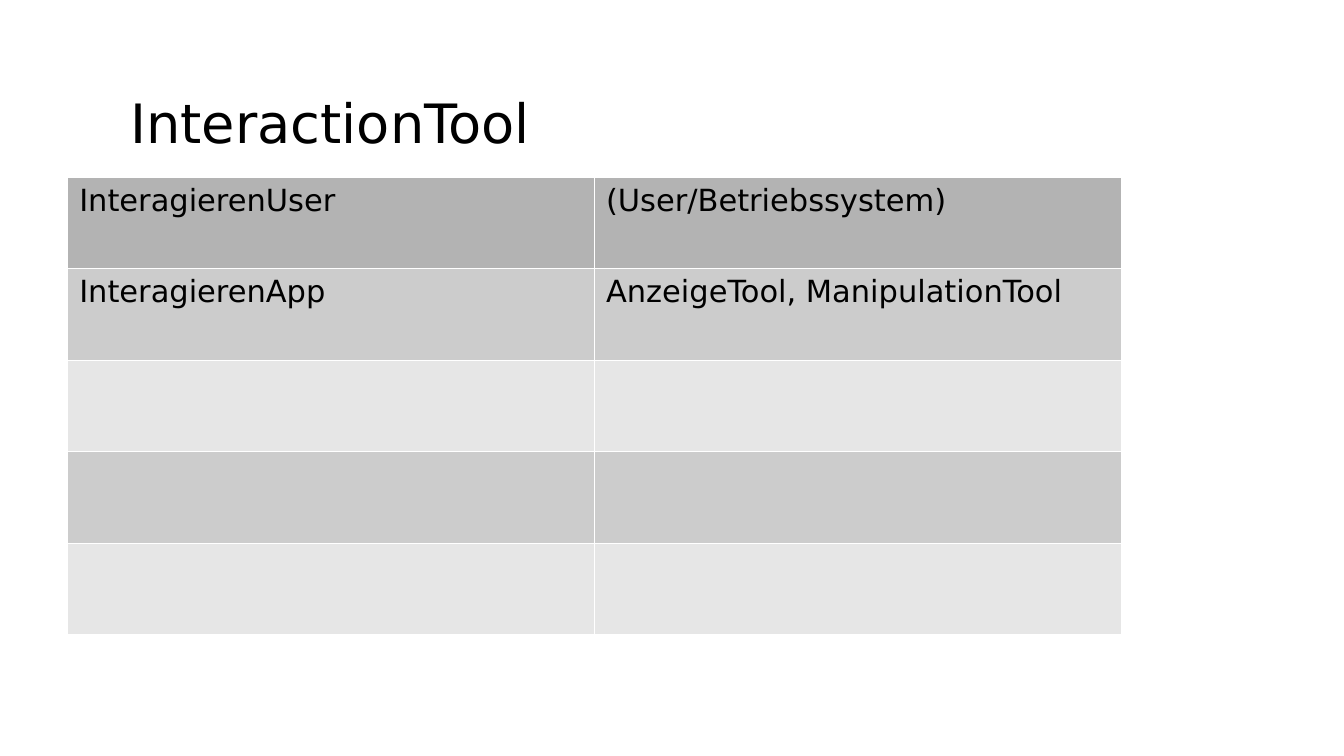
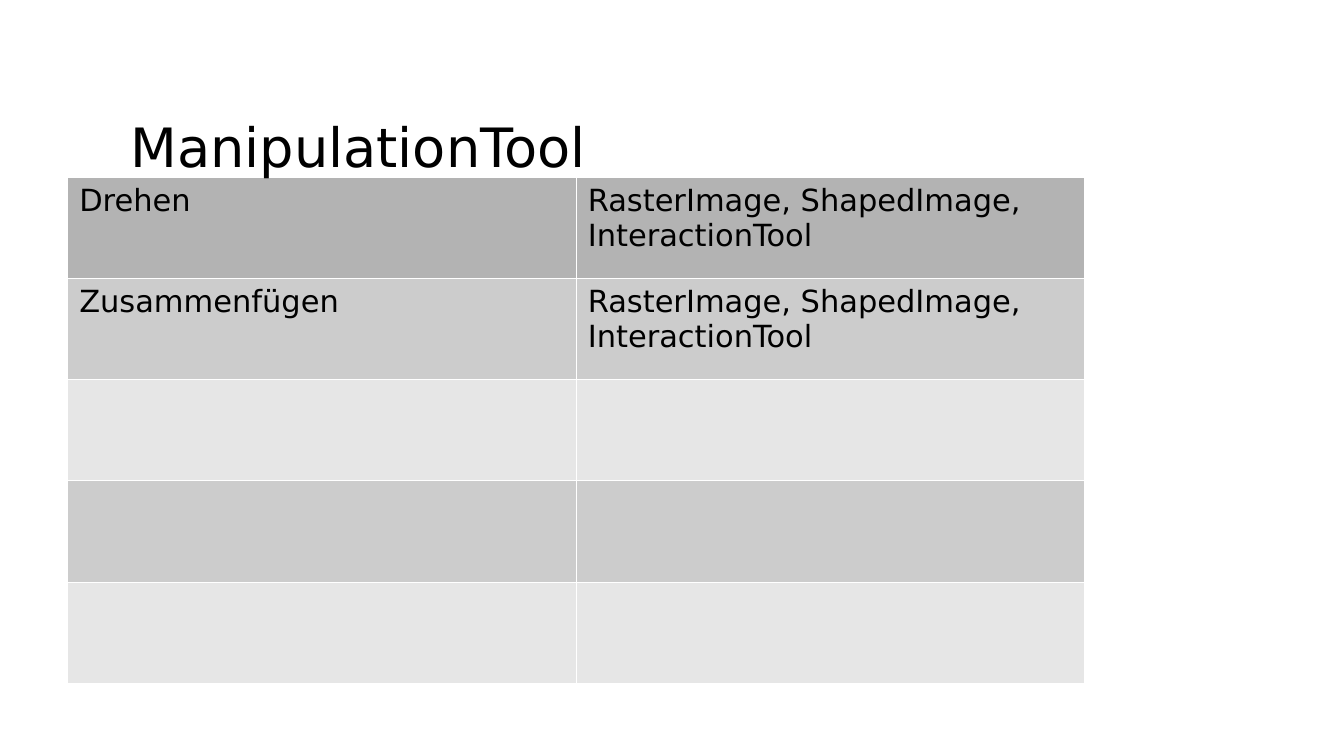
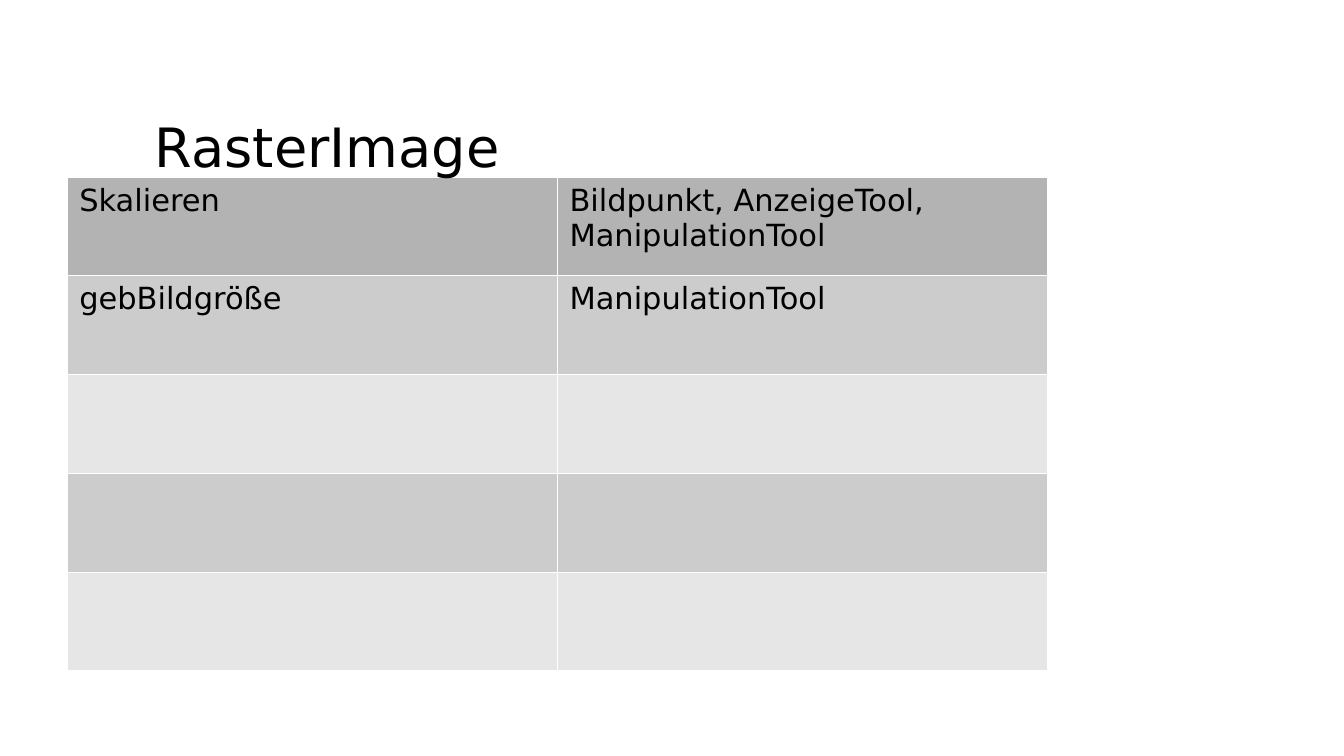
from lxml import etree
from pptx import Presentation
from pptx.dml.color import RGBColor
from pptx.oxml.ns import qn
from pptx.util import Inches, Pt

FONT = "DejaVu Sans"
BLACK = RGBColor(0x00, 0x00, 0x00)
HEADER = RGBColor(0xB3, 0xB3, 0xB3)
BAND_DARK = RGBColor(0xCC, 0xCC, 0xCC)
BAND_LIGHT = RGBColor(0xE6, 0xE6, 0xE6)
ROW_FILLS = [HEADER, BAND_DARK, BAND_LIGHT, BAND_DARK, BAND_LIGHT]
BORDER_COLOR = "FFFFFF"
BORDER_WIDTH = Pt(0.06)
TABLE_LEFT, TABLE_TOP = Inches(0.55), Inches(1.45)

# title, (left, top, width, height) of the title, (width, height) of the table, filled rows
CARDS = [
    ("InteractionTool", (0.6, 0.73, 4.66, 0.7), (8.64, 3.75),
     [("InteragierenUser", "(User/Betriebssystem)"),
      ("InteragierenApp", "AnzeigeTool, ManipulationTool")]),
    ("ManipulationTool", (0.6, 0.93, 4.84, 0.5), (8.34, 4.15),
     [("Drehen", "RasterImage, ShapedImage, InteractionTool"),
      ("Zusammenfügen", "RasterImage, ShapedImage, InteractionTool")]),
    ("RasterImage", (0.8, 0.93, 4.9, 0.5), (8.04, 4.05),
     [("Skalieren", "Bildpunkt, AnzeigeTool, ManipulationTool"),
      ("gebBildgröße", "ManipulationTool")]),
]


def set_font(p, size):
    p.font.name = FONT
    p.font.size = Pt(size)
    p.font.color.rgb = BLACK


def add_borders(cell):
    tc_pr = cell._tc.get_or_add_tcPr()
    for side in ("a:lnL", "a:lnR", "a:lnT", "a:lnB"):
        ln = etree.SubElement(tc_pr, qn(side), w=str(BORDER_WIDTH))
        fill = etree.SubElement(ln, qn("a:solidFill"))
        etree.SubElement(fill, qn("a:srgbClr"), val=BORDER_COLOR)


prs = Presentation()
prs.slide_width, prs.slide_height = Inches(11.02), Inches(6.2)

for title, title_box, table_size, entries in CARDS:
    s = prs.slides.add_slide(prs.slide_layouts[6])

    width, height = map(Inches, table_size)
    table = s.shapes.add_table(len(ROW_FILLS), 2, TABLE_LEFT, TABLE_TOP, width, height).table
    table.first_row = table.horz_banding = False
    for r, color in enumerate(ROW_FILLS):
        for c in range(2):
            cell = table.cell(r, c)
            add_borders(cell)
            cell.fill.solid()
            cell.fill.fore_color.rgb = color
            if r < len(entries):
                cell.text = entries[r][c]
            set_font(cell.text_frame.paragraphs[0], 18)

    tf = s.shapes.add_textbox(*map(Inches, title_box)).text_frame
    tf.word_wrap = True
    tf.margin_left = tf.margin_top = tf.margin_right = tf.margin_bottom = 0
    p = tf.paragraphs[0]
    p.text = title
    p._p.get_or_add_pPr().set("marL", str(Inches(0.47)))
    set_font(p, 32)

prs.save("out.pptx")
